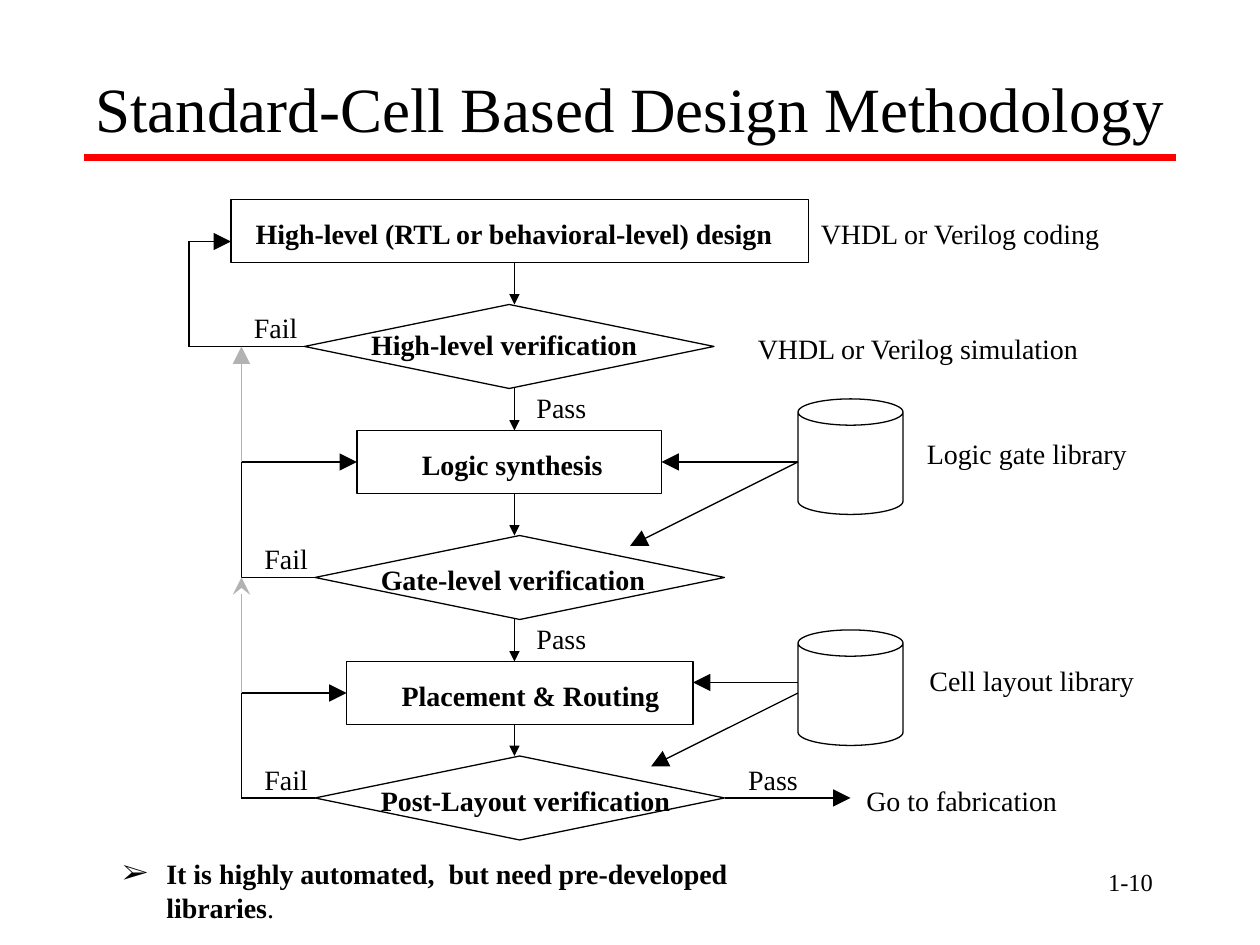
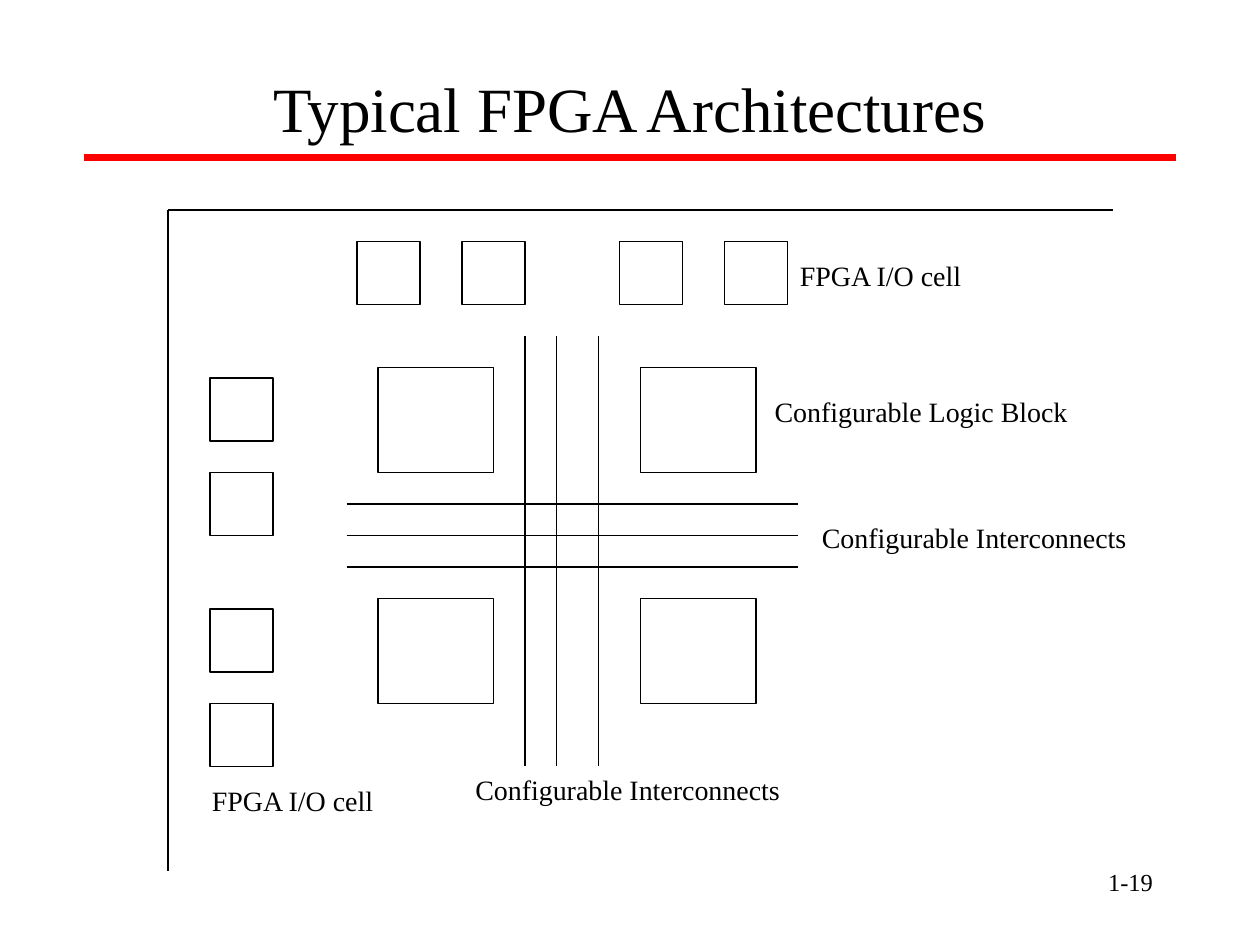
from dataclasses import dataclass
from itertools import product

from lxml import etree
from pptx import Presentation
from pptx import util as u
from pptx.dml.color import RGBColor
from pptx.enum import shapes, text
from pptx.oxml import ns

FONT = "Times New Roman"
BLACK, WHITE, RED, GRAY = "000000", "FFFFFF", "FF0000", "B2B2B2"
RECT = shapes.MSO_SHAPE.RECTANGLE
GEM = shapes.MSO_SHAPE.DIAMOND
CAN = shapes.MSO_SHAPE.CAN
LEFT, RIGHT = text.PP_ALIGN.LEFT, text.PP_ALIGN.RIGHT


@dataclass
class Box:
    x: float
    y: float
    w: float
    h: float
    kind: int = RECT


@dataclass
class Wire:
    x1: float
    y1: float
    x2: float
    y2: float
    head: str = ""
    size: str = "lg"
    color: str = BLACK
    width: float = 0.75


@dataclass
class Label:
    words: str
    x: float
    y: float
    w: float
    bold: bool = False
    h: float = 26.6
    size: float = 16
    align: int = LEFT
    wrap: bool = False


# Drawing helpers
def tint(code: str) -> RGBColor:
    return RGBColor.from_string(code)


def style(run, size: float, bold: bool = False) -> None:
    font = run.font
    font.name, font.size, font.bold = FONT, u.Pt(size), bold
    font.color.rgb = tint(BLACK)


def draw_box(slide, box: Box):
    shape = slide.shapes.add_shape(
        box.kind, u.Pt(box.x), u.Pt(box.y), u.Pt(box.w), u.Pt(box.h))
    shape.shadow.inherit = False
    shape.fill.solid()
    shape.fill.fore_color.rgb = tint(WHITE)
    shape.line.color.rgb = tint(BLACK)
    shape.line.width = u.Pt(0.75)
    return shape


def sides(shape) -> list:
    """Middles of the top, left, bottom and right sides."""
    x, y, w, h = shape.left, shape.top, shape.width, shape.height
    return [(x + w // 2, y), (x, y + h // 2),
            (x + w // 2, y + h), (x + w, y + h // 2)]


def draw_wire(slide, wire: Wire, nodes=()) -> None:
    start = u.Pt(wire.x1), u.Pt(wire.y1)
    end = u.Pt(wire.x2), u.Pt(wire.y2)
    line = slide.shapes.add_connector(
        shapes.MSO_CONNECTOR.STRAIGHT, *start, *end)
    line.line.color.rgb = tint(wire.color)
    line.line.width = u.Pt(wire.width)
    props = line.element.spPr
    if wire.head:
        etree.SubElement(props.find(ns.qn("a:ln")), ns.qn("a:tailEnd"),
                         type=wire.head, w=wire.size, len=wire.size)
    etree.SubElement(props, ns.qn("a:effectLst"))
    # Join the ends that meet the middle of a side
    for node in nodes:
        spots = sides(node)
        if start in spots:
            line.begin_connect(node, spots.index(start))
        if end in spots:
            line.end_connect(node, spots.index(end))


def draw_label(slide, label: Label):
    box = slide.shapes.add_textbox(
        u.Pt(label.x), u.Pt(label.y), u.Pt(label.w), u.Pt(label.h))
    frame = box.text_frame
    frame.word_wrap = label.wrap
    if not label.wrap:
        frame.auto_size = text.MSO_AUTO_SIZE.SHAPE_TO_FIT_TEXT
    frame.text = label.words
    para = frame.paragraphs[0]
    para.alignment = label.align
    style(para.runs[0], label.size, label.bold)
    return para


def add_bullet(para, mark: str, indent: float) -> None:
    props = para._p.get_or_add_pPr()
    props.set("marL", str(u.Pt(indent)))
    props.set("indent", str(-u.Pt(indent)))
    color = etree.SubElement(props, ns.qn("a:buClr"))
    etree.SubElement(color, ns.qn("a:srgbClr"), val=BLACK)
    etree.SubElement(props, ns.qn("a:buFont"), typeface=FONT)
    etree.SubElement(props, ns.qn("a:buChar"), char=mark)


# Title, red rule and page number
def new_slide(deck, name: str, page: str):
    slide = deck.slides.add_slide(deck.slide_layouts[5])
    draw_wire(slide, Wire(48, 90, 672, 90, color=RED, width=4.5))
    title = slide.shapes.title
    title.left, title.top = u.Pt(42), u.Pt(36)
    title.width, title.height = u.Pt(636), u.Pt(50.4)
    frame = title.text_frame
    frame.text = name
    frame.word_wrap = True
    frame.auto_size = text.MSO_AUTO_SIZE.NONE
    frame.vertical_anchor = text.MSO_ANCHOR.MIDDLE
    para = frame.paragraphs[0]
    para.alignment = text.PP_ALIGN.CENTER
    style(para.runs[0], 36)
    draw_label(slide, Label(page, 516, 492, 150, h=36, size=14,
                            align=RIGHT, wrap=True))
    return slide


def draw_all(slide, boxes: list, wires: list, labels: list) -> None:
    nodes = [draw_box(slide, box) for box in boxes]
    for wire in wires:
        draw_wire(slide, wire, nodes)
    for label in labels:
        draw_label(slide, label)


# Design flow
def flow_slide(deck) -> None:
    slide = new_slide(deck, "Standard-Cell Based Design Methodology", "1-10")
    boxes = [
        Box(132, 114, 330, 36), Box(204, 246, 174, 36), Box(198, 378, 198, 36),
        Box(174, 174, 234, 48, GEM), Box(180, 306, 234, 48, GEM),
        Box(180, 432, 234, 48, GEM),
        Box(456, 228, 60, 66, CAN), Box(456, 360, 60, 66, CAN),
    ]
    # Steps down the middle
    drops = [(150, 174), (222, 246), (282, 306), (354, 378), (414, 432)]
    wires = [Wire(294, top, 294, end, "triangle", "med") for top, end in drops]
    # Loops back after a failure: gem side, lane, step side, heights
    loops = [(174, 108, 132, 198, 138), (180, 138, 204, 330, 264),
             (180, 138, 198, 456, 396)]
    for gem, lane, step, low, high in loops:
        wires += [Wire(gem, low, lane, low), Wire(lane, low, lane, high),
                  Wire(lane, high, step, high, "triangle")]
    wires += [
        Wire(138, 264, 138, 198, "triangle", color=GRAY),
        Wire(138, 396, 138, 330, "stealth", color=GRAY),
        # Library feeds and the way out
        Wire(456, 264, 378, 264, "triangle"),
        Wire(456, 264, 360, 312, "triangle"),
        Wire(456, 390, 396, 390, "triangle"),
        Wire(456, 396, 372, 438, "triangle"),
        Wire(414, 456, 486, 456, "triangle"),
    ]
    labels = [
        Label("High-level (RTL or behavioral-level) design", 139, 120, 312, True),
        Label("High-level verification", 205, 183.5, 168, True),
        Label("Logic synthesis", 234, 252, 119, True),
        Label("Gate-level verification", 210.5, 318, 167, True),
        Label("Placement & Routing", 222.5, 384, 163, True),
        Label("Post-Layout verification", 210.5, 444, 181, True),
        Label("VHDL or Verilog coding", 462, 120, 177),
        Label("VHDL or Verilog simulation", 426, 186, 202),
        Label("Logic gate library", 522.5, 246, 134),
        Label("Cell layout library", 524, 375.5, 137),
        Label("Go to fabrication", 488, 444, 125),
    ]
    fails = [(138, 174), (144, 306), (144, 432)]
    passes = [(299.5, 219.5), (299.5, 351.5), (420.5, 432)]
    labels += [Label("Fail", x, y, 40) for x, y in fails]
    labels += [Label("Pass", x, y, 44) for x, y in passes]
    draw_all(slide, boxes, wires, labels)

    # Closing remark
    note = draw_label(slide, Label(
        "It is highly automated,  but need pre-developed libraries",
        63, 486, 421, True, wrap=True))
    add_bullet(note, "➢", 25)
    stop = note.add_run()
    stop.text = "."
    style(stop, 16)


# Chip layout
def chip_slide(deck) -> None:
    slide = new_slide(deck, "Typical FPGA Architectures", "1-19")
    logic = [Box(x, y, 66, 60) for y, x in product((210, 342), (216, 366))]
    west = [Box(120, y, 36, 36) for y in (216, 270, 348, 402)]
    north = [Box(x, 138, 36, 36) for x in (204, 264, 354, 414)]
    wires = [Wire(x, 192, x, 438) for x in (300, 318, 342)]
    wires += [Wire(198, y, 456, y) for y in (288, 306, 324)]
    wires += [Wire(96, 120, 96, 498), Wire(96, 120, 636, 120)]
    labels = [Label("Configurable Logic Block", 435.5, 222, 184)]
    labels += [Label("Configurable Interconnects", x, y, 190)
               for x, y in ((462.5, 294), (264.5, 438))]
    labels += [Label("FPGA I/O cell", x, y, 109)
               for x, y in ((450, 144), (114, 444))]
    draw_all(slide, logic + west + north, wires, labels)


def main() -> None:
    deck = Presentation()
    deck.slide_width, deck.slide_height = u.Pt(720), u.Pt(540)
    flow_slide(deck)
    chip_slide(deck)
    deck.save("out.pptx")


if __name__ == "__main__":
    main()
